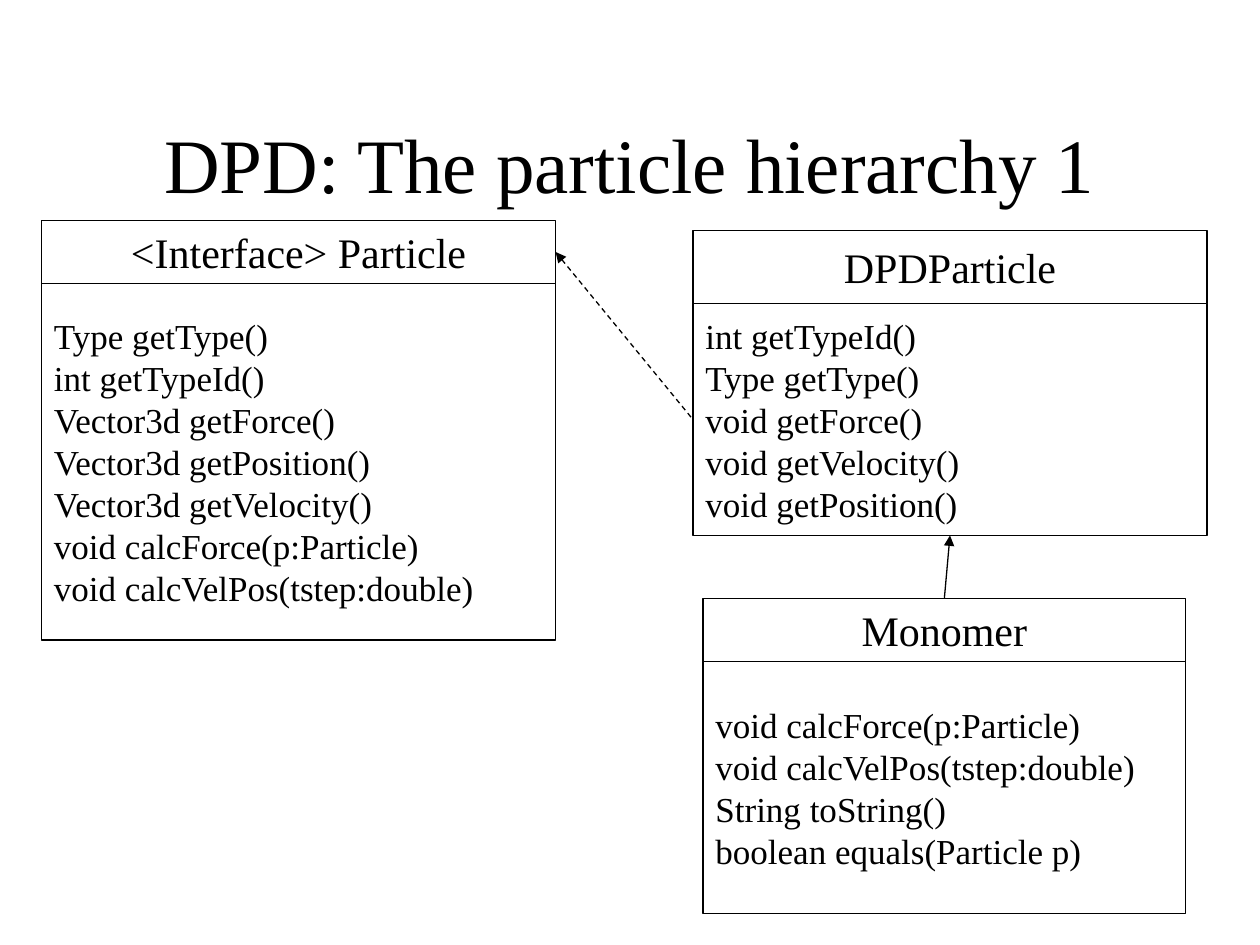
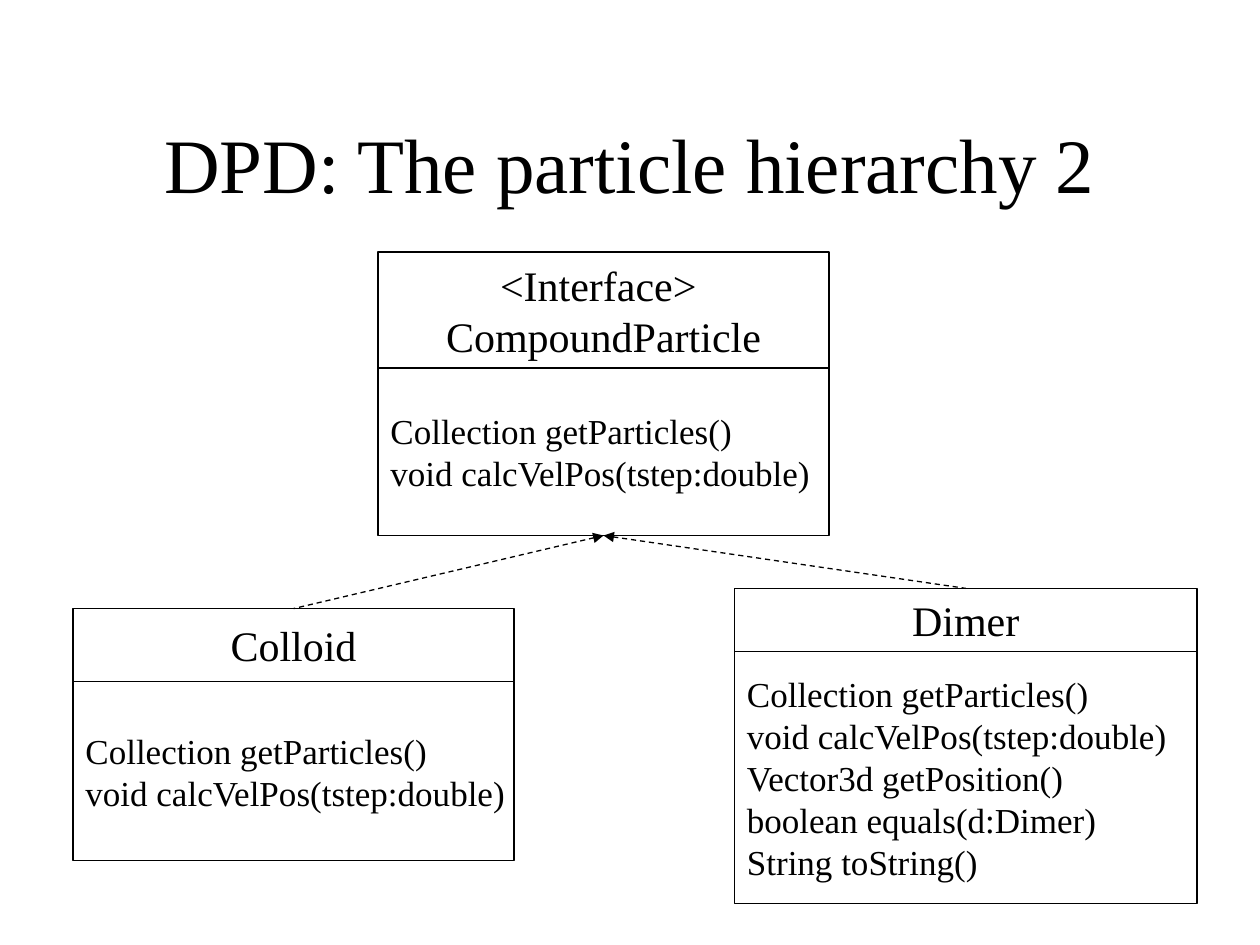
from lxml.etree import SubElement
from pptx import Presentation
from pptx.dml.color import RGBColor
from pptx.enum.dml import MSO_LINE
from pptx.enum.shapes import MSO_CONNECTOR, MSO_SHAPE
from pptx.enum.text import MSO_ANCHOR, PP_ALIGN
from pptx.oxml.ns import qn
from pptx.util import Inches, Pt

FONT = "Times New Roman"
INK = "000000"
LINE_WIDTH = Pt(0.75)
TOP, LEFT, BOTTOM, RIGHT = range(4)  # connection sites of a rectangle


def color(hex_value):
    return RGBColor.from_string(hex_value)


def write_lines(tf, lines, size, align):
    tf.vertical_anchor = MSO_ANCHOR.MIDDLE
    for i, line in enumerate(lines):
        p = tf.paragraphs[0] if i == 0 else tf.add_paragraph()
        p.text = line
        p.alignment = align
        p.font.name = FONT
        p.font.size = Pt(size)
        p.font.color.rgb = color(INK)


def style_line(line):
    line.color.rgb = color(INK)
    line.width = LINE_WIDTH


def add_titled_slide(prs, title):
    s = prs.slides.add_slide(prs.slide_layouts[5])
    sp = s.shapes.title
    sp.left, sp.top = Inches(0.75), Inches(0.67)
    sp.width, sp.height = Inches(8.5), Inches(1.25)
    write_lines(sp.text_frame, [title], 44, PP_ALIGN.CENTER)
    return s


def add_compartment(shapes, left, top, width, height, lines, size, align):
    sp = shapes.add_shape(MSO_SHAPE.RECTANGLE, Inches(left), Inches(top),
                          Inches(width), Inches(height))
    sp.shadow.inherit = False
    sp.fill.background()
    style_line(sp.line)
    sp.text_frame.word_wrap = False
    write_lines(sp.text_frame, lines, size, align)
    return sp


def add_class(s, box, name_height, name, methods):
    """Draw a UML class in box; return its name and method compartments."""
    left, top, width, height = box
    shapes = s.shapes.add_group_shape().shapes
    header = add_compartment(shapes, left, top, width, name_height,
                             name, 24, PP_ALIGN.CENTER)
    body = add_compartment(shapes, left, top + name_height, width,
                           height - name_height, methods, 20, PP_ALIGN.LEFT)
    return header, body


def add_inheritance(s, parent, parent_site, child, child_site, dashed):
    """Link two compartments, with the arrowhead at the parent."""
    cxn = s.shapes.add_connector(MSO_CONNECTOR.STRAIGHT, 0, 0, 0, 0)
    cxn.begin_connect(parent, parent_site)
    cxn.end_connect(child, child_site)
    style_line(cxn.line)
    if dashed:
        cxn.line.dash_style = MSO_LINE.DASH
    sp_pr = cxn.line._get_or_add_ln().getparent()
    SubElement(sp_pr.find(qn("a:ln")), qn("a:headEnd"), type="triangle")
    SubElement(sp_pr, qn("a:effectLst"))


def build_particle_slide(prs):
    s = add_titled_slide(prs, "DPD: The particle hierarchy 1")
    particle_name, _ = add_class(
        s, (0.33, 1.75, 4.08, 3.33), 0.5, ["<Interface> Particle"],
        ["Type getType()", "int getTypeId()", "Vector3d getForce()",
         "Vector3d getPosition()", "Vector3d getVelocity()",
         "void calcForce(p:Particle)", "void calcVelPos(tstep:double)"])
    monomer_name, _ = add_class(
        s, (5.58, 4.75, 3.83, 2.5), 0.5, ["Monomer"],
        ["void calcForce(p:Particle)", "void calcVelPos(tstep:double)",
         "String toString()", "boolean equals(Particle p)"])
    _, dpd_methods = add_class(
        s, (5.5, 1.83, 4.08, 2.42), 0.58, ["DPDParticle"],
        ["int getTypeId()", "Type getType()", "void getForce()",
         "void getVelocity()", "void getPosition()"])
    add_inheritance(s, particle_name, RIGHT, dpd_methods, LEFT, dashed=True)
    add_inheritance(s, dpd_methods, BOTTOM, monomer_name, TOP, dashed=False)


def build_compound_slide(prs):
    s = add_titled_slide(prs, "DPD: The particle hierarchy 2")
    shared_methods = ["Collection getParticles()",
                      "void calcVelPos(tstep:double)"]
    _, compound_methods = add_class(
        s, (3, 2, 3.58, 2.25), 0.92, ["<Interface> ", "CompoundParticle"],
        shared_methods)
    colloid_name, _ = add_class(
        s, (0.58, 4.83, 3.5, 2), 0.58, ["Colloid"], shared_methods)
    dimer_name, _ = add_class(
        s, (5.83, 4.67, 3.67, 2.5), 0.5, ["Dimer"],
        shared_methods + ["Vector3d getPosition()", "boolean equals(d:Dimer)",
                          "String toString()"])
    for child in (dimer_name, colloid_name):
        add_inheritance(s, compound_methods, BOTTOM, child, TOP, dashed=True)


def main():
    prs = Presentation()
    prs.slide_width, prs.slide_height = Inches(10), Inches(7.5)
    build_particle_slide(prs)
    build_compound_slide(prs)
    prs.save("out.pptx")


if __name__ == "__main__":
    main()
